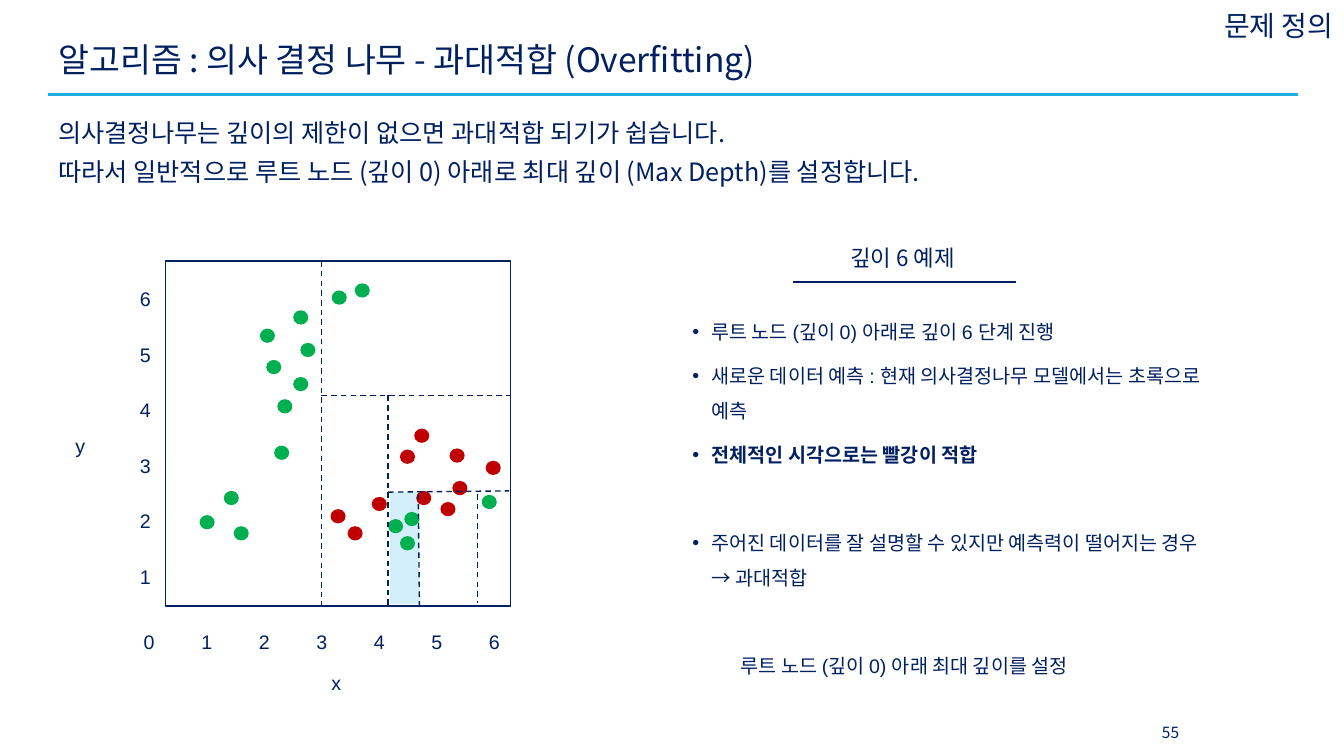
import pptx
import pptx.util
import pptx.dml.color
import pptx.enum.dml
import pptx.enum.shapes
import pptx.enum.text
import pptx.oxml
import pptx.oxml.ns

Cm = pptx.util.Cm
Pt = pptx.util.Pt
RGBColor = pptx.dml.color.RGBColor
Align = pptx.enum.text.PP_ALIGN
Anchor = pptx.enum.text.MSO_ANCHOR
Shape = pptx.enum.shapes.MSO_SHAPE

NAVY = RGBColor(0x00, 0x20, 0x60)
SKY = RGBColor(0x1C, 0xAD, 0xE4)
PALE = RGBColor(0xD2, 0xEF, 0xFA)
GREEN = RGBColor(0x00, 0xB0, 0x50)
RED = RGBColor(0xC0, 0x00, 0x00)
NOTO = "Noto Sans CJK KR"
ARIAL = "Arial"

GREENS = [
    (5.03, 12.98), (6.99, 10.06), (8.36, 7.32), (6.91, 11.23),
    (5.64, 12.37), (6.71, 9.07), (6.55, 8.28), (7.39, 7.82),
    (8.94, 7.14), (7.57, 8.64), (7.39, 9.5), (5.89, 13.26),
    (9.78, 13.08), (10.19, 12.9), (12.14, 12.47), (10.08, 13.51),
]
REDS = [
    (8.33, 12.83), (8.76, 13.26), (9.37, 12.52), (10.49, 12.37),
    (11.33, 11.3), (11.4, 12.12), (12.24, 11.61), (11.1, 12.65),
    (10.08, 11.33), (10.44, 10.8),
]
SPLITS = [
    (8.1, 6.58, 8.1, 15.27), (8.1, 9.96, 12.85, 9.96),
    (9.78, 9.96, 9.78, 15.34), (9.78, 12.4, 12.83, 12.37),
    (10.54, 12.45, 10.57, 15.27), (12.04, 12.45, 12.04, 15.19),
]
POINTS = [
    ("루트 노드 (깊이 0) 아래로 깊이 6 단계 진행", 0, False),
    ("새로운 데이터 예측 : 현재 의사결정나무 모델에서는 초록으로 예측", 6, False),
    ("전체적인 시각으로는 빨강이 적합", 6, True),
    ("주어진 데이터를 잘 설명할 수 있지만 예측력이 떨어지는 경우 → 과대적합", 37.5, False),
]


def add_box(slide, left, top, width, height, anchor=Anchor.TOP, inset=0.13):
    box = slide.shapes.add_textbox(Cm(left), Cm(top), Cm(width), Cm(height))
    frame = box.text_frame
    frame.word_wrap = True
    frame.vertical_anchor = anchor
    frame.margin_top = Cm(inset)
    return frame


def style(para, size, font, space=1.0, align=Align.LEFT, bold=False):
    para.alignment = align
    para.line_spacing = space
    for run in para.runs:
        run.font.size = Pt(size)
        run.font.name = font
        run.font.bold = bold
        run.font.color.rgb = NAVY


def add_text(slide, text, place, size, space=1.0, align=Align.LEFT, anchor=Anchor.TOP):
    frame = add_box(slide, *place, anchor=anchor)
    frame.text = text
    style(frame.paragraphs[0], size, NOTO, space, align)


def add_label(slide, text, place, align=Align.LEFT):
    frame = add_box(slide, *place, inset=0.3)
    frame.text = text
    style(frame.paragraphs[0], 14, ARIAL, 1.5, align)


def add_list(slide, place):
    frame = add_box(slide, *place, inset=0.3)
    for index, (text, before, bold) in enumerate(POINTS):
        para = frame.add_paragraph() if index else frame.paragraphs[0]
        para.text = text
        props = para._p.get_or_add_pPr()
        props.set("marL", str(Cm(0.48)))
        props.set("indent", str(-Cm(0.48)))
        names = pptx.oxml.ns.nsdecls("a")
        props.append(pptx.oxml.parse_xml(f'<a:buFont {names} typeface="Arial"/>'))
        props.append(pptx.oxml.parse_xml(f'<a:buChar {names} char="•"/>'))
        para.space_before = Pt(before)
        style(para, 14, ARIAL, 1.5, bold=bold)


def add_form(slide, kind, place, fill=None, line=None):
    form = slide.shapes.add_shape(kind, *map(Cm, place))
    form.shadow.inherit = False
    if fill is None:
        form.fill.background()
    else:
        form.fill.solid()
        form.fill.fore_color.rgb = fill
    if line is None:
        form.line.fill.background()
    else:
        form.line.color.rgb = line
        form.line.width = Pt(1)


def add_line(slide, ends, color=NAVY, width=1, dash=False):
    kind = pptx.enum.shapes.MSO_CONNECTOR.STRAIGHT
    line = slide.shapes.add_connector(kind, *map(Cm, ends))
    line.line.color.rgb = color
    line.line.width = Pt(width)
    if dash:
        line.line.dash_style = pptx.enum.dml.MSO_LINE.DASH
    names = pptx.oxml.ns.nsdecls("a")
    line._element.spPr.append(pptx.oxml.parse_xml(f"<a:effectLst {names}/>"))


def add_plot(slide):
    add_form(slide, Shape.RECTANGLE, (9.83, 12.4, 0.74, 2.82), fill=PALE)
    add_form(slide, Shape.RECTANGLE, (4.17, 6.58, 8.69, 8.69), line=NAVY)
    for step in range(7):
        add_label(slide, str(step), (3.25 + 1.45 * step, 15.27, 1.02, 1.04), Align.CENTER)
    for step in range(1, 7):
        add_label(slide, str(step), (3.15, 15.04 - 1.4 * step, 1.02, 1.04), Align.CENTER)
    add_label(slide, "x", (8.1, 16.31, 2.06, 1.22))
    add_label(slide, "y", (1.65, 10.34, 2.06, 1.22))
    for dots, color in ((GREENS, GREEN), (REDS, RED)):
        for left, top in dots:
            add_form(slide, Shape.OVAL, (left, top, 0.38, 0.36), fill=color)
    for ends in SPLITS:
        add_line(slide, ends, dash=True)


def main():
    deck = pptx.Presentation()
    deck.slide_width = Cm(33.87)
    deck.slide_height = Cm(19.05)
    slide = deck.slides.add_slide(deck.slide_layouts[6])
    add_line(slide, (1.22, 2.39, 32.72, 2.39), SKY, 2.25)
    add_text(slide, "알고리즘 : 의사 결정 나무 - 과대적합 (Overfitting)",
             (1.22, 0.74, 31.5, 1.6), 24, 0.9, anchor=Anchor.MIDDLE)
    add_text(slide, "의사결정나무는 깊이의 제한이 없으면 과대적합 되기가 쉽습니다.\v"
             "따라서 일반적으로 루트 노드 (깊이 0) 아래로 최대 깊이 (Max Depth)를 설정합니다.",
             (1.22, 2.59, 31.5, 3.2), 18, 1.3)
    add_text(slide, "문제 정의", (23.52, 0.1, 10.34, 1.09), 20,
             align=Align.RIGHT, anchor=Anchor.MIDDLE)
    add_plot(slide)
    add_text(slide, "깊이 6 예제", (19.23, 5.94, 7.04, 1.09), 16,
             align=Align.CENTER, anchor=Anchor.MIDDLE)
    add_line(slide, (19.99, 7.11, 25.6, 7.11))
    add_list(slide, (17.2, 7.47, 13.51, 7.44))
    add_label(slide, "루트 노드 (깊이 0) 아래 최대 깊이를 설정", (18.42, 15.88, 10.77, 1.22))
    add_text(slide, "55", (28.7, 17.93, 1.6, 1.02), 11,
             align=Align.CENTER, anchor=Anchor.MIDDLE)
    deck.save("out.pptx")


if __name__ == "__main__":
    main()
